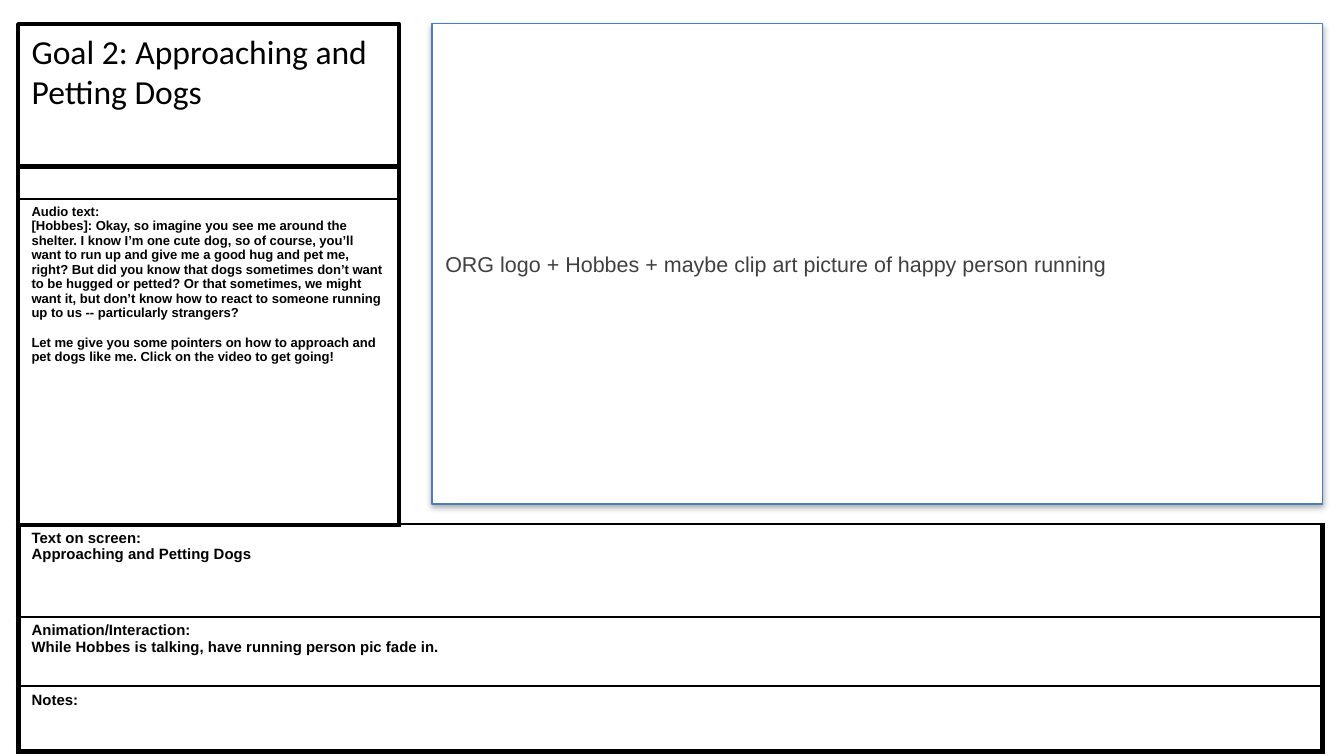
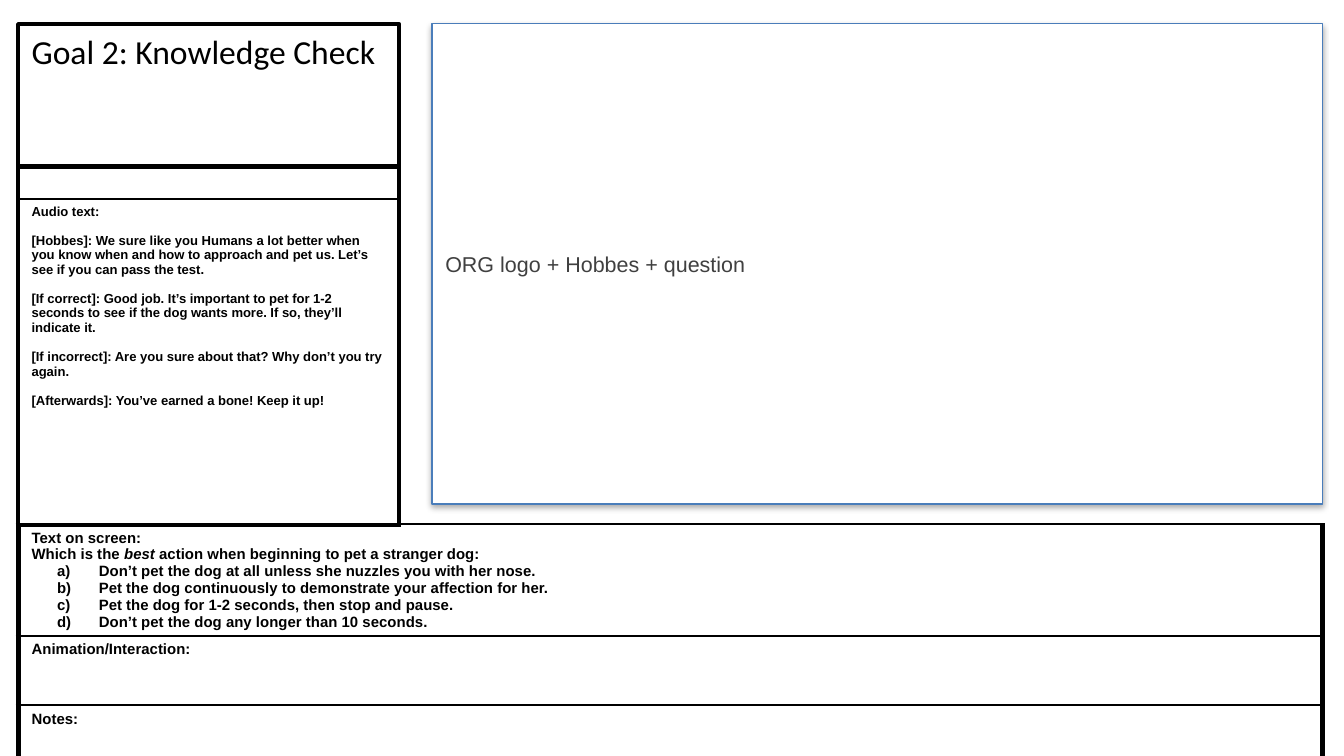
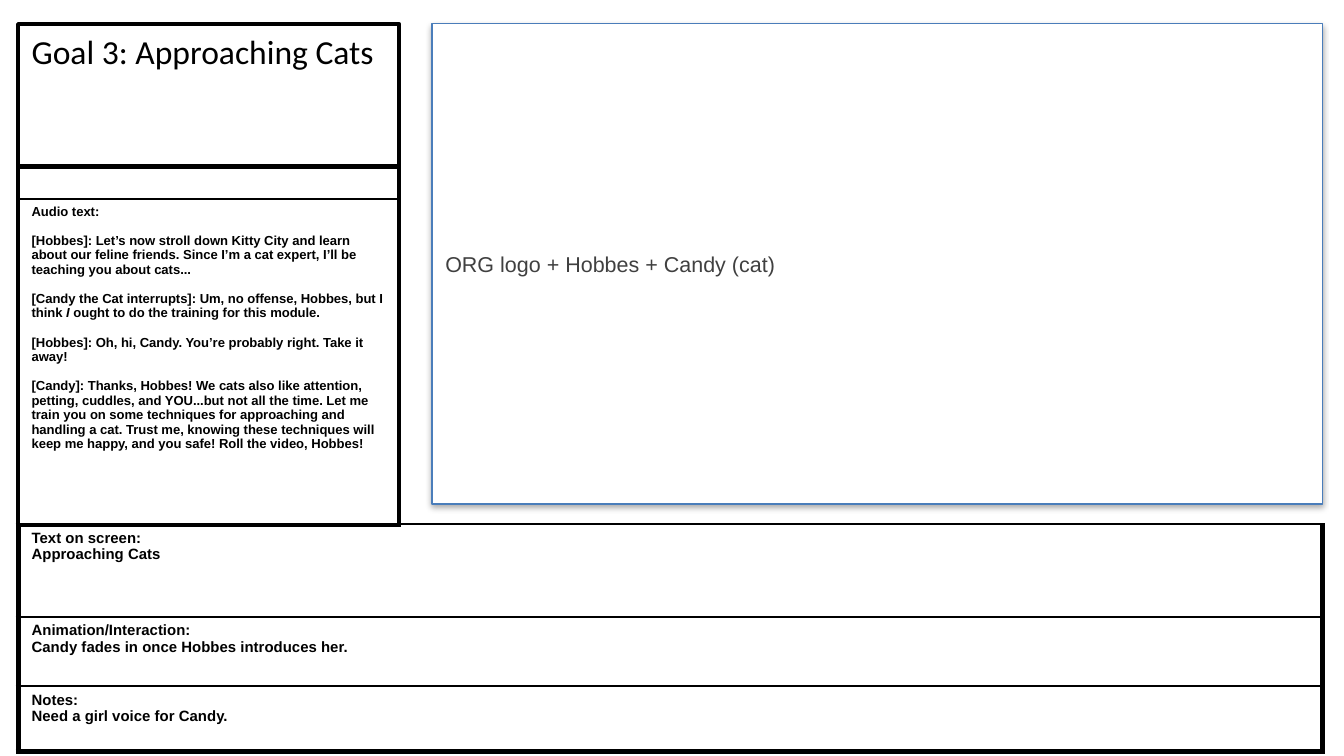
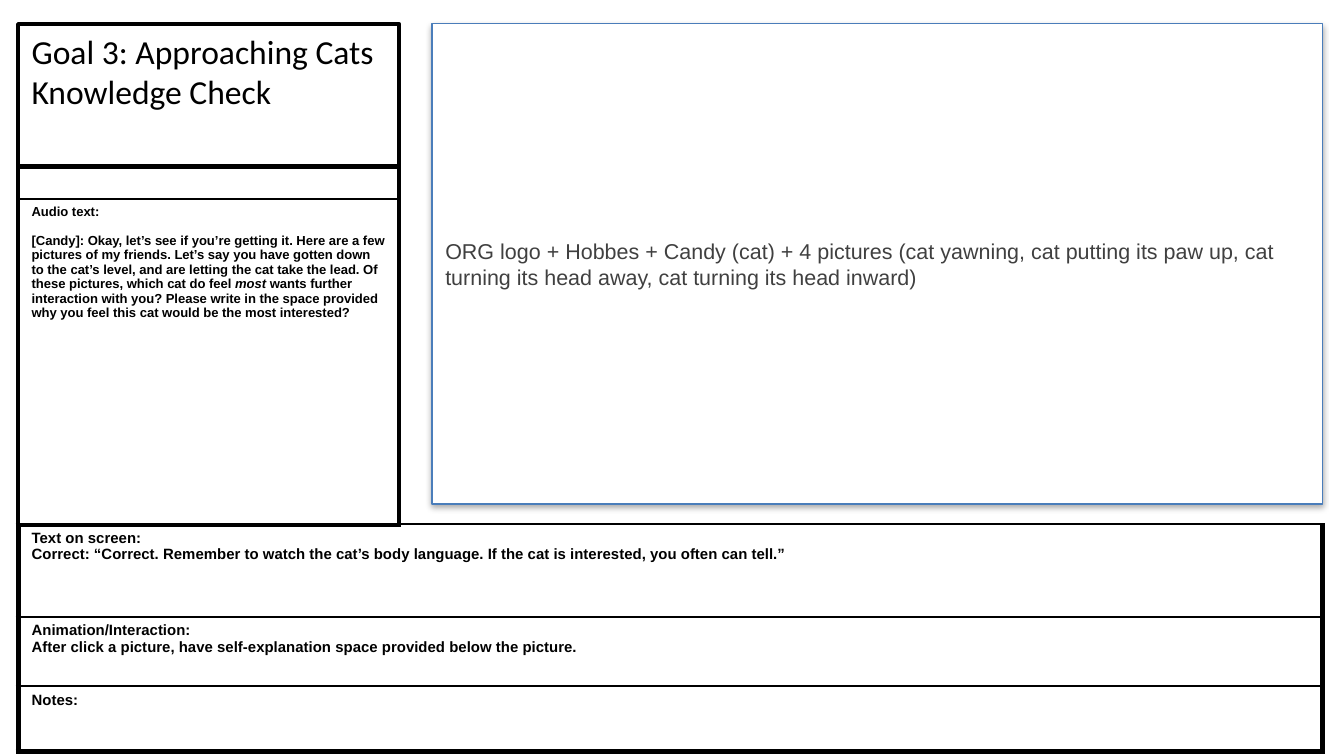
from dataclasses import dataclass

from lxml import etree
from pptx import Presentation
from pptx.dml.color import RGBColor
from pptx.enum.shapes import MSO_SHAPE
from pptx.enum.text import MSO_ANCHOR, MSO_AUTO_SIZE, PP_ALIGN
from pptx.oxml.ns import qn
from pptx.util import Pt

RECTANGLE = MSO_SHAPE.RECTANGLE
TOP, MIDDLE = MSO_ANCHOR.TOP, MSO_ANCHOR.MIDDLE
LEFT = PP_ALIGN.LEFT
NO_AUTOFIT = MSO_AUTO_SIZE.NONE

EMU_PER_PX = 4572  # 200 px to the inch
EMU_PER_PT = 12700
SLIDE_WIDTH, SLIDE_HEIGHT = 2000, 1125
COLORS = {"ink": "000000", "paper": "FFFFFF", "stage_line": "4A7DBA", "stage_text": "404040"}
TITLE_ONLY = 5
THIN = 1


@dataclass(frozen=True)
class Box:
    left: int
    top: int
    width: int
    height: int


@dataclass(frozen=True)
class Grid:
    """A bordered table: place, column and row sizes in px, type and frame in points."""
    left: int
    top: int
    cols: tuple[int, ...]
    rows: tuple[int, ...]
    size: int
    frame: float
    top_line: float


@dataclass(frozen=True)
class Board:
    """One storyboard page; *stars* mark italics, and audio blocks are set apart by a gap."""
    title: str
    stage: str
    audio: tuple[tuple[str, ...], ...]
    screen: tuple[str, ...]
    choices: tuple[str, ...] = ()
    animation: tuple[str, ...] = ()
    notes: tuple[str, ...] = ()


TITLE_BOX = Box(27, 36, 567, 212)
STAGE_BOX = Box(643, 35, 1325, 715)
AUDIO_GRID = Grid(27, 248, (567,), (48, 485), size=7, frame=2.25, top_line=2.25)
DETAIL_GRID = Grid(27, 780, (958, 983), (138, 103, 97), size=8, frame=3, top_line=THIN)

BOARDS = [
    Board(
        "Goal 2: Approaching and Petting Dogs",
        "ORG logo + Hobbes + maybe clip art picture of happy person running",
        audio=(
            ("Audio text:",
             "[Hobbes]: Okay, so imagine you see me around the shelter. I know I’m one cute dog, "
             "so of course, you’ll want to run up and give me a good hug and pet me, right? But did "
             "you know that dogs sometimes don’t want to be hugged or petted? Or that sometimes, we "
             "might want it, but don’t know how to react to someone running up to us -- "
             "particularly strangers?"),
            ("Let me give you some pointers on how to approach and pet dogs like me. "
             "Click on the video to get going!",),
        ),
        screen=("Approaching and Petting Dogs",),
        animation=("While Hobbes is talking, have running person pic fade in.",),
    ),
    Board(
        "Goal 2: Knowledge Check",
        "ORG logo + Hobbes + question",
        audio=(
            ("Audio text:",),
            ("[Hobbes]: We sure like you Humans a lot better when you know when and how to "
             "approach and pet us. Let’s see if you can pass the test.",),
            ("[If correct]: Good job. It’s important to pet for 1-2 seconds to see if the dog "
             "wants more. If so, they’ll indicate it.",),
            ("[If incorrect]: Are you sure about that? Why don’t you try again.",),
            ("[Afterwards]: You’ve earned a bone! Keep it up!",),
        ),
        screen=("Which is the *best *action when beginning to pet a stranger dog:",),
        choices=(
            "Don’t pet the dog at all unless she nuzzles you with her nose.",
            "Pet the dog continuously to demonstrate your affection for her.",
            "Pet the dog for 1-2 seconds, then stop and pause.",
            "Don’t pet the dog any longer than 10 seconds.",
        ),
    ),
    Board(
        "Goal 3: Approaching Cats",
        "ORG logo + Hobbes + Candy (cat)",
        audio=(
            ("Audio text:",),
            ("[Hobbes]: Let’s now stroll down Kitty City and learn about our feline friends. "
             "Since I’m a cat expert, I’ll be teaching you about cats...",),
            ("[Candy the Cat interrupts]: Um, no offense, Hobbes, but I think* I* ought to do "
             "the training for this module.",),
            ("[Hobbes]: Oh, hi, Candy. You’re probably right. Take it away!",),
            ("[Candy]: Thanks, Hobbes! We cats also like attention, petting, cuddles, and "
             "YOU...but not all the time. Let me train you on some techniques for approaching and "
             "handling a cat. Trust me, knowing these techniques will keep me happy, and you safe! "
             "Roll the video, Hobbes!",),
        ),
        screen=("Approaching Cats",),
        animation=("Candy fades in once Hobbes introduces her.",),
        notes=("Need a girl voice for Candy.",),
    ),
    Board(
        "Goal 3: Approaching Cats Knowledge Check",
        "ORG logo + Hobbes + Candy (cat) + 4 pictures (cat yawning, cat putting its paw up, "
        "cat turning its head away, cat turning its head inward)",
        audio=(
            ("Audio text:",),
            ("[Candy]: Okay, let’s see if you’re getting it. Here are a few pictures of my "
             "friends. Let’s say you have gotten down to the cat’s level, and are letting the cat "
             "take the lead. Of these pictures, which cat do feel *most *wants further interaction "
             "with you? Please write in the space provided why you feel this cat would be the most "
             "interested?",),
        ),
        screen=("Correct: “Correct. Remember to watch the cat’s body language. If the cat is "
                "interested, you often can tell.”",),
        animation=("After click a picture, have self-explanation space provided below the "
                   "picture.",),
    ),
]


def px(n: int) -> int:
    return n * EMU_PER_PX


def rgb(name: str) -> RGBColor:
    return RGBColor.from_string(COLORS[name])


def sub(parent, tag: str, **attrs):
    """Append a DrawingML child with the given attributes."""
    return etree.SubElement(parent, qn(tag), {k: str(v) for k, v in attrs.items()})


def set_font(p, name: str, size: float, color: str, bold: bool = False) -> None:
    p.font.name, p.font.size, p.font.bold = name, Pt(size), bold
    p.font.color.rgb = rgb(color)


def add_paragraph(tf, text: str, size: int):
    """Write text into the first empty paragraph or a new one, starred parts in italics."""
    p = tf.paragraphs[0]
    if p.runs:
        p = tf.add_paragraph()
    for i, part in enumerate(text.split("*")):
        r = p.add_run()
        r.text = part
        if i % 2:
            r.font.italic = True
    set_font(p, "Arial", size, "ink", bold=True)
    return p


def add_choice(tf, text: str, size: int) -> None:
    pPr = add_paragraph(tf, text, size)._p.get_or_add_pPr()
    pPr.set("marL", str(px(100)))
    pPr.set("indent", str(px(-62)))
    number = etree.Element(qn("a:buAutoNum"), {"type": "alphaLcParenR"})
    pPr.insert(0, number)


def set_borders(cell, side: float, top: float, bottom: float) -> None:
    tcPr = cell._tc.get_or_add_tcPr()
    for tag, width in (("a:lnL", side), ("a:lnR", side), ("a:lnT", top), ("a:lnB", bottom)):
        ln = sub(tcPr, tag, w=int(width * EMU_PER_PT))
        sub(sub(ln, "a:solidFill"), "a:srgbClr", val=COLORS["ink"])


def add_grid(slide, grid: Grid):
    """Add an empty framed table whose rows each span the full width."""
    frame = slide.shapes.add_table(
        len(grid.rows), len(grid.cols), px(grid.left), px(grid.top),
        px(sum(grid.cols)), px(sum(grid.rows)))
    table = frame.table
    table.first_row = table.horz_banding = False
    for column, width in zip(table.columns, grid.cols):
        column.width = px(width)
    last = len(grid.rows) - 1
    for i, (row, height) in enumerate(zip(table.rows, grid.rows)):
        row.height = px(height)
        for cell in row.cells:
            set_borders(cell, grid.frame, THIN if i else grid.top_line,
                        grid.frame if i == last else THIN)
            cell.fill.background()
            cell.margin_left = cell.margin_right = px(20)
            cell.margin_top = cell.margin_bottom = px(8)
        if len(grid.cols) > 1:
            table.cell(i, 0).merge(table.cell(i, len(grid.cols) - 1))
    return table


def add_audio(slide, board: Board) -> None:
    table = add_grid(slide, AUDIO_GRID)
    size = AUDIO_GRID.size
    sub(table.cell(0, 0).text_frame.paragraphs[0]._p, "a:endParaRPr", sz=size * 100)
    tf = table.cell(1, 0).text_frame
    for b, block in enumerate(board.audio):
        for i, line in enumerate(block):
            p = add_paragraph(tf, line, size)
            if b and not i:
                p.space_before = Pt(7.8)


def add_details(slide, board: Board) -> None:
    table = add_grid(slide, DETAIL_GRID)
    size = DETAIL_GRID.size
    rows = (("Text on screen:", *board.screen),
            ("Animation/Interaction:", *board.animation),
            ("Notes:", *board.notes))
    for i, lines in enumerate(rows):
        for line in lines:
            add_paragraph(table.cell(i, 0).text_frame, line, size)
    for choice in board.choices:
        add_choice(table.cell(0, 0).text_frame, choice, size)


def style_box(sp, box: Box, line: str, width: float, anchor) -> None:
    """Place a white outlined box and set up its text frame."""
    sp.left, sp.top, sp.width, sp.height = map(px, (box.left, box.top, box.width, box.height))
    sp.fill.solid()
    sp.fill.fore_color.rgb = rgb("paper")
    sp.line.color.rgb = rgb(line)
    sp.line.width = Pt(width)
    tf = sp.text_frame
    tf.word_wrap = True
    tf.auto_size = NO_AUTOFIT
    tf.vertical_anchor = anchor
    tf.margin_left = tf.margin_right = px(20)
    tf.margin_top = tf.margin_bottom = px(10)


def add_title(slide, text: str) -> None:
    """Fill the title placeholder and bring it in front of what is already drawn."""
    sp = slide.shapes.title
    sp._element.getparent().append(sp._element)
    style_box(sp, TITLE_BOX, "ink", 2.25, TOP)
    sp.text_frame.text = text
    p = sp.text_frame.paragraphs[0]
    p.alignment = LEFT
    p.space_before = Pt(5.4)
    set_font(p, "Calibri", 18, "ink")


def add_stage(slide, text: str) -> None:
    """Add the softly shadowed frame that describes what the screen shows."""
    sp = slide.shapes.add_shape(RECTANGLE, 0, 0, 0, 0)
    style_box(sp, STAGE_BOX, "stage_line", 0.75, MIDDLE)
    sp.shadow.inherit = False
    effects = sp._element.spPr.find(qn("a:effectLst"))
    shadow = sub(effects, "a:outerShdw", blurRad=int(3.1 * EMU_PER_PT),
                 dist=int(1.8 * EMU_PER_PT), dir=90 * 60000, rotWithShape=0)
    sub(sub(shadow, "a:srgbClr", val=COLORS["ink"]), "a:alpha", val=35000)
    sp.text_frame.text = text
    p = sp.text_frame.paragraphs[0]
    p.alignment = LEFT
    set_font(p, "Arial", 11.5, "stage_text")


def main() -> None:
    prs = Presentation()
    prs.slide_width, prs.slide_height = px(SLIDE_WIDTH), px(SLIDE_HEIGHT)
    for board in BOARDS:
        slide = prs.slides.add_slide(prs.slide_layouts[TITLE_ONLY])
        add_audio(slide, board)
        add_title(slide, board.title)
        add_details(slide, board)
        add_stage(slide, board.stage)
    prs.save("out.pptx")


if __name__ == "__main__":
    main()
